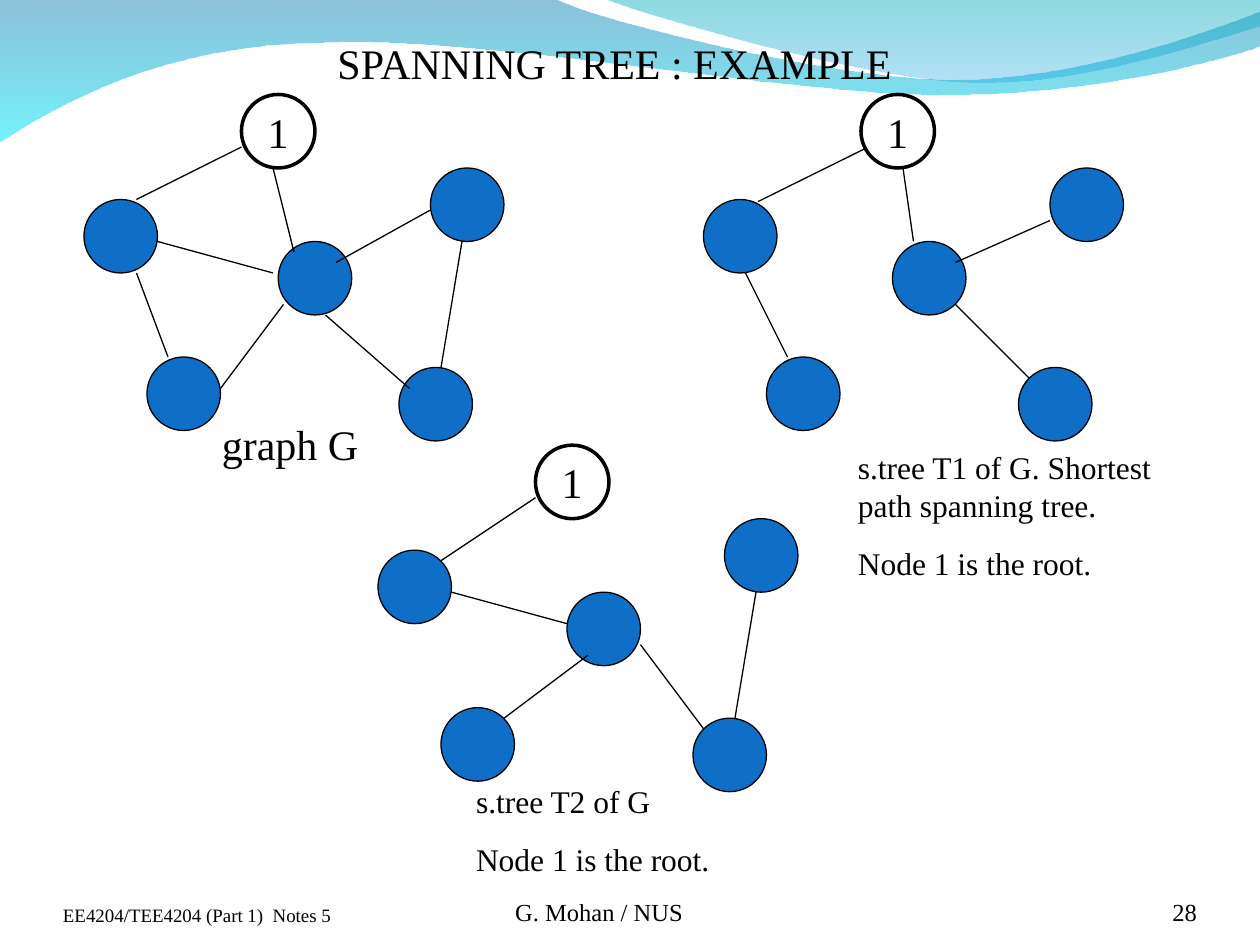
from lxml.etree import SubElement
from pptx import Presentation
from pptx.dml.color import RGBColor
from pptx.enum.shapes import MSO_CONNECTOR as Conn, MSO_SHAPE as Shape
from pptx.enum.text import MSO_ANCHOR as Anchor, MSO_AUTO_SIZE as Auto, PP_ALIGN as Align
from pptx.oxml.ns import qn
from pptx.util import Inches, Pt

UNIT = 1 / 12  # grid step in inches
NODE = 7       # node diameter in grid steps
BLACK, WHITE, BLUE = "000000", "FFFFFF", "0F6FC6"
FONT = "Times New Roman"

# Node and edge places are grid steps from the root's top left corner.
LEFT, LOW_LEFT, LOW_RIGHT, RIGHT = (-15, 10), (-9, 25), (15, 26), (18, 7)
GRAPHS = [
    {"root": (23, 9), "middle": (3.5, 14), "edges": [
        (-10, 17, -7, 25), (3, 7, 5, 15), (4, 20, -2, 28), (-10, 10, 0, 5),
        (-8, 14, 3, 17), (18, 11, 9, 16), (21, 14, 19, 26), (8, 21, 16, 28)]},
    {"root": (51, 42.4), "middle": (3, 14), "edges": [
        (0, 5, -9, 11), (-8, 14, 3, 17), (5, 20, -3, 26),
        (10, 19, 16, 27), (21, 14, 19, 26)]},
    {"root": (82, 9), "middle": (3, 14), "edges": [
        (4, 7, 5, 14), (-9.8, 10.2, 0.3, 5.2), (-11, 17, -7, 25),
        (18, 12, 9, 16), (9, 20, 16, 27)]},
]

# Each wave is a start point, then line ends (2 numbers) or Bezier curves (6), in inches.
WAVES = [
    ([(0, -0.01), (4.4, -0.01), (4.76, 0.17, 6.64, 0.63, 7.58, 0.63),
      (8.53, 0.63, 9.58, 0.26, 10, 0.09), (10.01, 0.36),
      (9.83, 0.44, 8.7, 0.76, 7.46, 0.75), (6.22, 0.75, 3.82, 0.28, 2.57, 0.34),
      (1.29, 0.35, 0.46, 0.83, -0.01, 1.13), (0, -0.01)],
     [("0079AF", 45), ("00EBF8", 55)]),
    ([(4.79, -0.01), (5.09, 0.11, 6.82, 0.62, 7.69, 0.65),
      (8.56, 0.69, 9.61, 0.32, 10, 0.21), (10, 0), (4.79, -0.01)],
     [("00ADB6", 45), ("009BE5", 30)]),
]

TITLE = {"size": 24, "before": 15}
CAPTION = {"size": 18, "before": 11.2}
FOOTER = {"size": 14, "anchor": Anchor.BOTTOM, "inset": (0, 0), "fit": Auto.NONE}
FOOTERS = [
    ((0.5, 6.95, 2.33, 0.4), ["EE4204/TEE4204 (Part 1)  Notes 5"],
     {**FOOTER, "size": 10.8, "spacing": 0.8}),
    ((2.92, 6.95, 3.67, 0.4), ["G. Mohan / NUS"], {**FOOTER, "align": Align.CENTER}),
    ((8.67, 6.95, 0.83, 0.4), ["28"], {**FOOTER, "align": Align.RIGHT}),
]
LABELS = [
    ((2.58, 0.25, 6.08, 0.5), ["SPANNING TREE : EXAMPLE"], TITLE),
    ((1.58, 3.27, 2.17, 0.5), [" graph G"], TITLE),
    ((6.71, 3.51, 2.92, 1.16),
     ["s.tree T1 of G. Shortest path spanning tree.", "Node 1 is the root."], CAPTION),
    ((3.68, 6.16, 2.17, 0.86), ["s.tree T2 of G", "Node 1 is the root."], CAPTION),
]


def rgb(value):
    return RGBColor.from_string(value)


def grid(*steps):
    return [Inches(n * UNIT) for n in steps]


def set_all(obj, values):
    for name, value in values.items():
        setattr(obj, name, value)


def write(tf, lines, size, align=Align.LEFT, before=0, spacing=None,
          anchor=Anchor.TOP, inset=(0.1, 0.05), fit=Auto.SHAPE_TO_FIT_TEXT, wrap=True):
    x, y = map(Inches, inset)
    set_all(tf, {"word_wrap": wrap, "auto_size": fit, "vertical_anchor": anchor,
                 "margin_left": x, "margin_right": x, "margin_top": y, "margin_bottom": y})
    for i, line in enumerate(lines):
        p = tf.add_paragraph() if i else tf.paragraphs[0]
        set_all(p, {"alignment": align, "space_before": Pt(before), "line_spacing": spacing})
        r = p.add_run()
        r.text = line
        set_all(r.font, {"name": FONT, "size": Pt(size)})
        r.font.color.rgb = rgb(BLACK)


def add_texts(s, texts):
    for box, lines, style in texts:
        write(s.shapes.add_textbox(*map(Inches, box)).text_frame, lines, **style)


def outline(line, width):
    line.color.rgb = rgb(BLACK)
    line.width = Pt(width)


def bend(sp, segments):
    """Join each curve's three straight steps into one Bezier segment."""
    steps = iter(list(sp._element.iter(qn("a:lnTo"))))
    for seg in segments:
        first = next(steps)
        if len(seg) == 2:
            continue
        first.tag = qn("a:cubicBezTo")
        for _ in range(2):
            step = next(steps)
            first.append(step[0])
            step.getparent().remove(step)


def add_wave(s, segments, stops):
    start, *rest = [(Inches(x), Inches(y)) for seg in segments
                    for x, y in zip(seg[::2], seg[1::2])]
    builder = s.shapes.build_freeform(*start)
    builder.add_line_segments(rest, close=True)
    sp = builder.convert_to_shape()
    bend(sp, segments[1:])
    sp.shadow.inherit = False
    sp.line.fill.background()
    sp.fill.gradient()
    sp.fill.gradient_angle = 270
    for stop, (color, _) in zip(sp.fill.gradient_stops, stops):
        stop.color.rgb = rgb(color)
    colors = sp._element.spPr.iter(qn("a:srgbClr"))
    for node, (_, opacity) in zip(list(colors), stops):
        SubElement(node, qn("a:alpha")).set("val", str(opacity * 1000))


def add_node(s, x, y, label=None):
    sp = s.shapes.add_shape(Shape.OVAL, *grid(x, y, NODE, NODE))
    sp.shadow.inherit = False
    sp.fill.solid()
    sp.fill.fore_color.rgb = rgb(WHITE if label else BLUE)
    outline(sp.line, 2 if label else 0.75)
    if label:
        write(sp.text_frame, [label], 24, Align.CENTER, anchor=Anchor.MIDDLE,
              fit=Auto.NONE, wrap=False)


def add_edge(s, x1, y1, x2, y2):
    edge = s.shapes.add_connector(Conn.STRAIGHT, *grid(x1, y1, x2, y2))
    outline(edge.line, 0.75)
    SubElement(edge._element.spPr, qn("a:effectLst"))


def add_graph(s, root, middle, edges):
    x, y = root
    for dx, dy in (middle, LEFT, LOW_LEFT, LOW_RIGHT):
        add_node(s, x + dx, y + dy)
    add_node(s, x, y, "1")
    add_node(s, x + RIGHT[0], y + RIGHT[1])
    for x1, y1, x2, y2 in edges:
        add_edge(s, x + x1, y + y1, x + x2, y + y2)


def main():
    prs = Presentation()
    prs.slide_width, prs.slide_height = Inches(10), Inches(7.5)
    s = prs.slides.add_slide(prs.slide_layouts[6])
    for segments, stops in WAVES:
        add_wave(s, segments, stops)
    add_texts(s, FOOTERS)
    for graph in GRAPHS:
        add_graph(s, **graph)
    add_texts(s, LABELS)
    prs.save("out.pptx")


if __name__ == "__main__":
    main()
